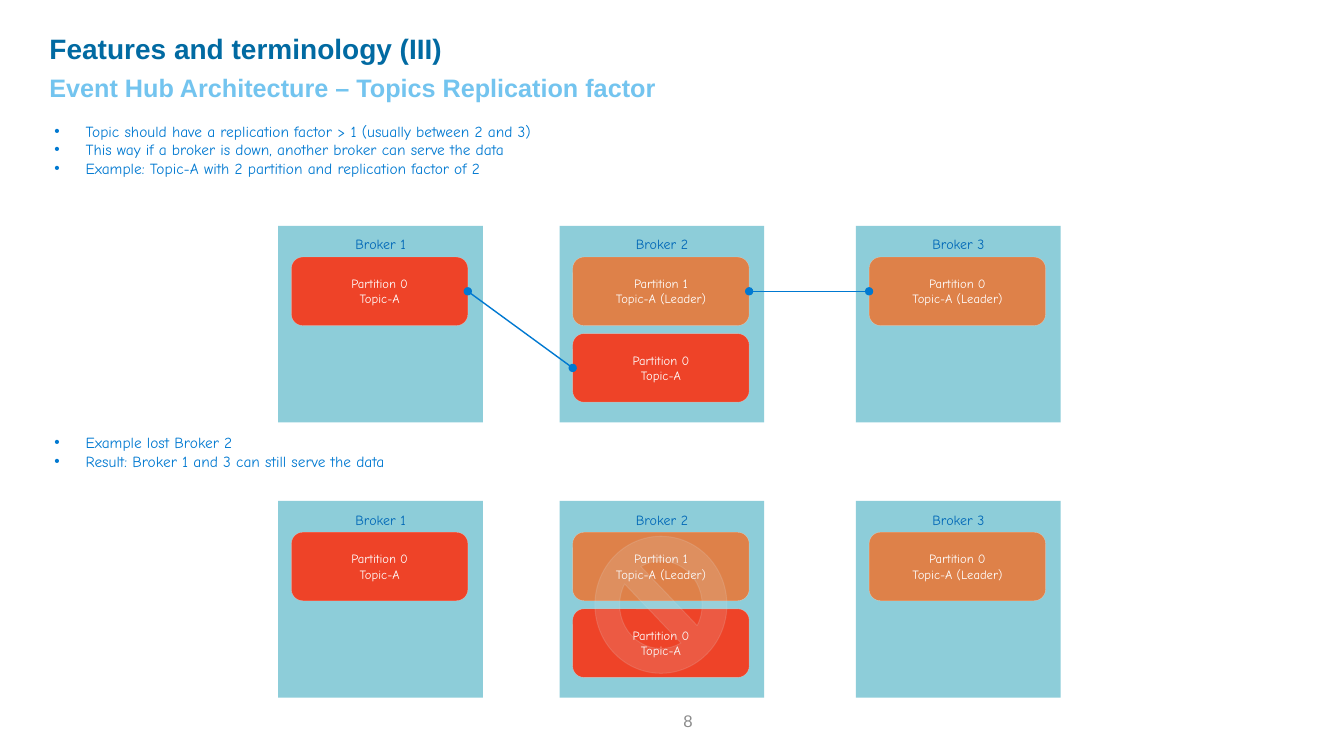
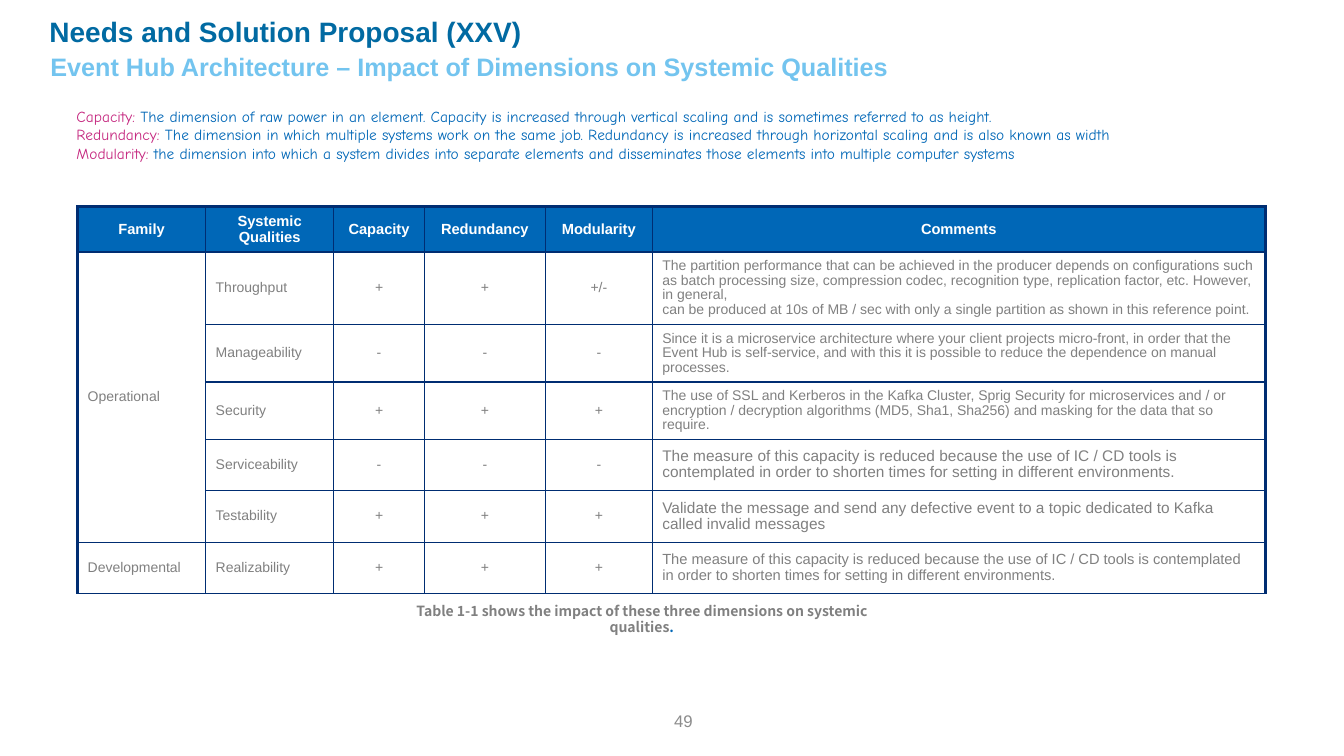
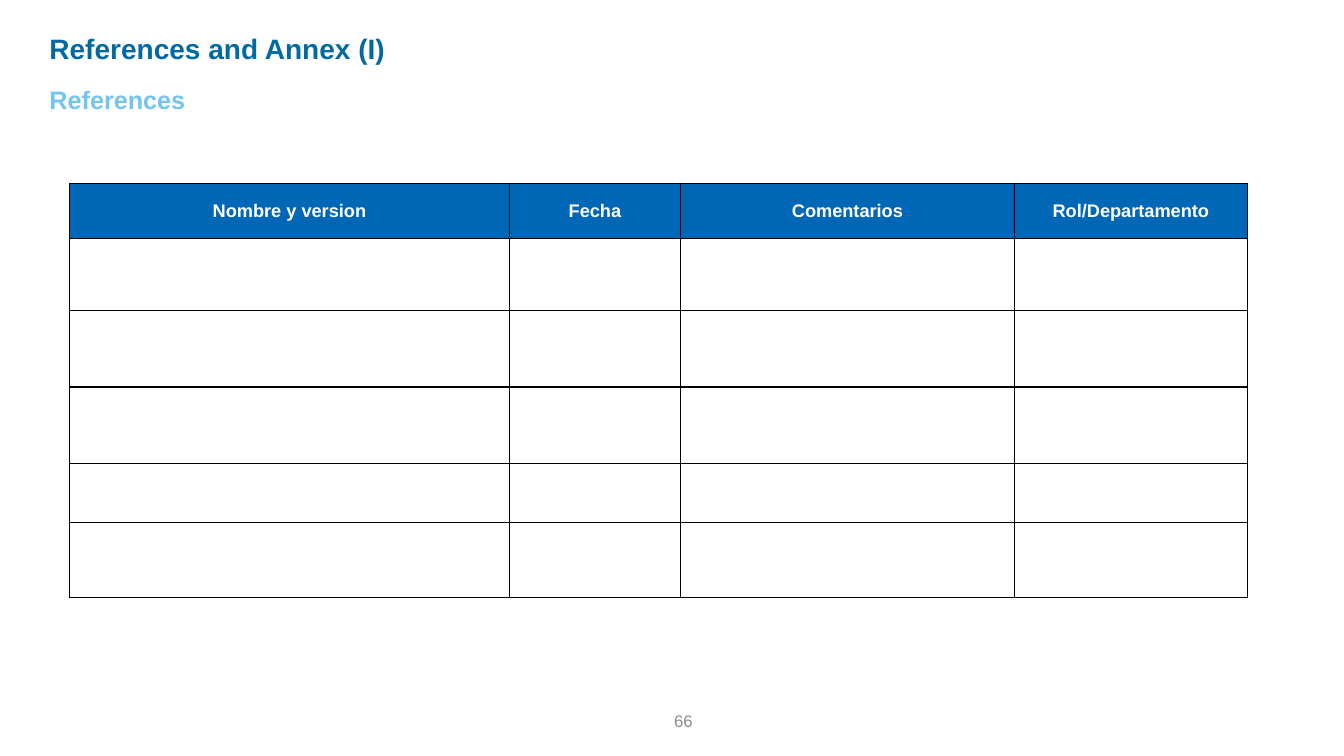
from dataclasses import dataclass

import lxml.etree
import pptx
import pptx.dml.color
import pptx.enum.shapes
import pptx.enum.text
import pptx.oxml.ns
import pptx.util

Inches = pptx.util.Inches
Pt = pptx.util.Pt
RGBColor = pptx.dml.color.RGBColor
Align = pptx.enum.text.PP_ALIGN
Anchor = pptx.enum.text.MSO_ANCHOR
Preset = pptx.enum.shapes.MSO_SHAPE
qn = pptx.oxml.ns.qn

TITLE_BLUE = RGBColor(0x01, 0x6A, 0xA2)
SUBTITLE_BLUE = RGBColor(0x73, 0xC4, 0xEF)
TEXT_BLUE = RGBColor(0x00, 0x79, 0xD1)
DEEP_BLUE = RGBColor(0x00, 0x67, 0xB7)
NAVY = RGBColor(0x00, 0x2D, 0x72)
AQUA = RGBColor(0x87, 0xCB, 0xD8)
RED = RGBColor(0xEE, 0x43, 0x28)
ORANGE = RGBColor(0xF3, 0x6F, 0x26)
MAGENTA = RGBColor(0xC5, 0x27, 0x7F)
PALE_GREY = RGBColor(0xE2, 0xE2, 0xE2)
PAGE_GREY = RGBColor(0x8C, 0x8C, 0x8C)
GREY = RGBColor(0x80, 0x80, 0x80)
WHITE = RGBColor(0xFF, 0xFF, 0xFF)
BLACK = RGBColor(0x00, 0x00, 0x00)


@dataclass(frozen=True)
class Style:
    size: float
    colour: RGBColor
    face: str = "Arial"
    bold: bool = False


@dataclass(frozen=True)
class Box:
    """A place on the slide, in inches."""
    left: float
    top: float
    width: float
    height: float

    def emu(self) -> tuple:
        return tuple(Inches(v) for v in (self.left, self.top, self.width, self.height))


@dataclass(frozen=True)
class Partition:
    lines: str
    colour: RGBColor
    opacity: int


@dataclass(frozen=True)
class Broker:
    name: str
    left: float
    partitions: tuple


@dataclass(frozen=True)
class Grid:
    """Geometry and borders shared by all cells of a table."""
    left: float
    top: float
    columns: tuple
    rows: tuple
    line: RGBColor
    outer_width: float
    inset: tuple


HAND = "Comic Neue"
TITLE = Style(20, TITLE_BLUE, bold=True)
SUBTITLE = Style(18, SUBTITLE_BLUE, bold=True)
PAGE_NUMBER = Style(12, PAGE_GREY)
BULLET = Style(11, TEXT_BLUE, HAND)
TERM = Style(11, MAGENTA, HAND)
DEFINITION = Style(11, DEEP_BLUE, HAND)
BROKER_NAME = Style(10, DEEP_BLUE, HAND)
PARTITION_TEXT = Style(9, WHITE, HAND)
CAPTION = Style(10, GREY, "Noto Sans CJK KR", True)
CAPTION_END = Style(10, DEEP_BLUE, "Noto Sans CJK KR", True)

FOLLOWER = Partition("Partition 0\nTopic-A", RED, 100)
LEADER_0 = Partition("Partition 0\nTopic-A (Leader)", ORANGE, 80)
LEADER_1 = Partition("Partition 1\nTopic-A (Leader)", ORANGE, 80)
BROKERS = (
    Broker("Broker 1", 2.76, (FOLLOWER,)),
    Broker("Broker 2", 5.55, (LEADER_1, FOLLOWER)),
    Broker("Broker 3", 8.49, (LEADER_0,)),
)

DEFINITIONS = (
    ("Capacity: ", "The dimension of raw power in an element. Capacity is increased through "
     "vertical scaling and is sometimes referred to as height."),
    ("Redundancy: ", "The dimension in which multiple systems work on the same job. Redundancy "
     "is increased through horizontal scaling and is also known as width"),
    ("Modularity: ", "the dimension into which a system divides into separate elements and "
     "disseminates those elements into multiple computer systems"),
)

SHORTER_TIMES = ("The measure of this capacity is reduced because the use of IC / CD tools is "
                 "contemplated in order to shorten times for setting in different environments.")
IMPACT_HEADS = ("Family", "Systemic Qualities", "Capacity", "Redundancy", "Modularity", "Comments")
IMPACT_ROWS = (
    ("Operational", "Throughput", "+", "+", "+/-",
     "The partition performance that can be achieved in the producer depends on configurations "
     "such as batch processing size, compression codec, recognition type, replication factor, "
     "etc. However, in general,\ncan be produced at 10s of MB / sec with only a single partition "
     "as shown in this reference point."),
    ("", "Manageability", "-", "-", "-",
     "Since it is a microservice architecture where your client projects micro-front, in order "
     "that the Event Hub is self-service, and with this it is possible to reduce the dependence "
     "on manual processes."),
    ("", "Security", "+", "+", "+",
     "The use of SSL and Kerberos in the Kafka Cluster, Sprig Security for microservices and / "
     "or encryption / decryption algorithms (MD5, Sha1, Sha256) and masking for the data that so "
     "require."),
    ("", "Serviceability", "-", "-", "-", SHORTER_TIMES),
    ("", "Testability", "+", "+", "+",
     "Validate the message and send any defective event to a topic dedicated to Kafka called "
     "invalid messages"),
    ("Developmental", "Realizability", "+", "+", "+", SHORTER_TIMES),
)
COMMENT_SIZES = (10, 10, 10, 11, 11, 10.5)
REFERENCE_HEADS = ("Nombre y version", "Fecha", "Comentarios", "Rol/Departamento")


def format_run(run, style: Style) -> None:
    run.font.name = style.face
    run.font.size = Pt(style.size)
    run.font.bold = style.bold
    run.font.color.rgb = style.colour


def format_paragraph(paragraph, style: Style, align=Align.LEFT) -> None:
    paragraph.alignment = align
    for run in paragraph.runs:
        format_run(run, style)


def set_frame(frame, inset: tuple, anchor=Anchor.TOP) -> None:
    """Wrap the text; inset is the horizontal and the vertical margin in inches."""
    frame.word_wrap = True
    frame.auto_size = pptx.enum.text.MSO_AUTO_SIZE.NONE
    frame.vertical_anchor = anchor
    frame.margin_left = frame.margin_right = Inches(inset[0])
    frame.margin_top = frame.margin_bottom = Inches(inset[1])


def write(frame, text: str, style: Style, align=Align.LEFT) -> None:
    frame.text = text
    for paragraph in frame.paragraphs:
        format_paragraph(paragraph, style, align)


def add_text(slide, box: Box, text: str, style: Style, align=Align.LEFT,
             inset: tuple = (0.1, 0.1), anchor=Anchor.TOP):
    frame = slide.shapes.add_textbox(*box.emu()).text_frame
    set_frame(frame, inset, anchor)
    write(frame, text, style, align)
    return frame


def add_run(paragraph, text: str, style: Style) -> None:
    run = paragraph.add_run()
    run.text = text
    format_run(run, style)


def add_bullets(slide, box: Box, text: str) -> None:
    frame = add_text(slide, box, text, BULLET, Align.JUSTIFY)
    for paragraph in frame.paragraphs:
        properties = paragraph._p.get_or_add_pPr()
        properties.set("marL", str(Inches(0.31)))
        properties.set("indent", str(Inches(-0.31)))
        lxml.etree.SubElement(properties, qn("a:buFont")).set("typeface", "Arial")
        lxml.etree.SubElement(properties, qn("a:buChar")).set("char", "•")


def set_opacity(solid_fill, percent: int) -> None:
    if percent < 100:
        alpha = lxml.etree.SubElement(solid_fill.find(qn("a:srgbClr")), qn("a:alpha"))
        alpha.set("val", str(percent * 1000))


def add_preset(slide, preset, box: Box, fill: RGBColor, opacity: int):
    shape = slide.shapes.add_shape(preset, *box.emu())
    shape.shadow.inherit = False
    shape.fill.solid()
    shape.fill.fore_color.rgb = fill
    set_opacity(shape.element.spPr.find(qn("a:solidFill")), opacity)
    shape.line.fill.background()
    return shape


def outline(shape, colour: RGBColor, width: float, opacity: int) -> None:
    shape.line.color.rgb = colour
    shape.line.width = Pt(width)
    line = shape.element.spPr.find(qn("a:ln"))
    set_opacity(line.find(qn("a:solidFill")), opacity)


def add_broker(slide, broker: Broker, top: float) -> list:
    """Draw a broker with its partitions and return the partition shapes."""
    body = add_preset(slide, Preset.RECTANGLE, Box(broker.left, top, 2.03, 1.95), AQUA, 95)
    set_frame(body.text_frame, (0.1, 0.1))
    write(body.text_frame, broker.name, BROKER_NAME, Align.CENTER)
    shapes = []
    for index, partition in enumerate(broker.partitions):
        box = Box(broker.left + 0.13, top + 0.31 + 0.76 * index, 1.75, 0.68)
        shape = add_preset(slide, Preset.ROUNDED_RECTANGLE, box,
                           partition.colour, partition.opacity)
        outline(shape, WHITE, 0.25, 39)
        set_frame(shape.text_frame, (0.1, 0.05), Anchor.MIDDLE)
        write(shape.text_frame, partition.lines, PARTITION_TEXT, Align.CENTER)
        shapes.append(shape)
    return shapes


def add_replica_link(slide, source, target) -> None:
    link = slide.shapes.add_connector(pptx.enum.shapes.MSO_CONNECTOR.STRAIGHT, 0, 0, 0, 0)
    link.begin_connect(source, 3)
    link.end_connect(target, 1)
    link.line.color.rgb = TEXT_BLUE
    link.line.width = Pt(1)
    properties = link.element.spPr
    for end in ("a:headEnd", "a:tailEnd"):
        lxml.etree.SubElement(properties.find(qn("a:ln")), qn(end)).set("type", "oval")
    lxml.etree.SubElement(properties, qn("a:effectLst"))


def add_border(cell, side: str, colour: RGBColor, width: float) -> None:
    line = lxml.etree.SubElement(cell._tc.get_or_add_tcPr(), qn(f"a:ln{side}"))
    line.set("w", str(Pt(width)))
    fill = lxml.etree.SubElement(line, qn("a:solidFill"))
    lxml.etree.SubElement(fill, qn("a:srgbClr")).set("val", str(colour))


def add_grid(slide, grid: Grid, heads: tuple, head_size: float):
    """Add a bordered table with a filled header row and empty body cells."""
    box = Box(grid.left, grid.top, sum(grid.columns), sum(grid.rows))
    table = slide.shapes.add_table(len(grid.rows), len(grid.columns), *box.emu()).table
    table.first_row = table.horz_banding = False
    for column, width in zip(table.columns, grid.columns):
        column.width = Inches(width)
    last = len(grid.columns) - 1
    for r, height in enumerate(grid.rows):
        table.rows[r].height = Inches(height)
        for c in range(last + 1):
            cell = table.cell(r, c)
            for side, outer in (("L", c == 0), ("R", c == last), ("T", r == 0), ("B", False)):
                add_border(cell, side, grid.line, grid.outer_width if outer else 1)
            cell.fill.solid()
            cell.fill.fore_color.rgb = WHITE if r else DEEP_BLUE
            cell.vertical_anchor = Anchor.MIDDLE
            cell.margin_left = cell.margin_right = Inches(grid.inset[0])
            cell.margin_top = cell.margin_bottom = Inches(grid.inset[1])
    for c, head in enumerate(heads):
        write(table.cell(0, c).text_frame, head, Style(head_size, WHITE, bold=True), Align.CENTER)
    return table


def start_slide(deck, title: str, subtitle: str, page: int, title_top: float, subtitle_box: Box):
    slide = deck.slides.add_slide(deck.slide_layouts[5])
    heading = slide.shapes.title
    heading.left, heading.top, heading.width, heading.height = Box(0.44, title_top, 8.3, 0.44).emu()
    set_frame(heading.text_frame, (0.05, 0.05))
    write(heading.text_frame, title, TITLE)
    add_text(slide, subtitle_box, subtitle, SUBTITLE, inset=(0.05, 0.05))
    add_text(slide, Box(3.34, 6.95, 3.63, 0.4), str(page), PAGE_NUMBER, Align.RIGHT,
             (0.1, 0.05), Anchor.MIDDLE)
    return slide


def build_replication(deck) -> None:
    slide = start_slide(deck, "Features and terminology (III)",
                        "Event Hub Architecture – Topics Replication factor", 8,
                        0.26, Box(0.44, 0.67, 9.6, 0.4))
    add_bullets(slide, Box(0.44, 1.11, 12.33, 0.75),
                "Topic should have a replication factor > 1 (usually between 2 and 3)\n"
                "This way if a broker is down, another broker can serve the data\n"
                "Example: Topic-A with 2 partition and replication factor of 2")
    first, second, third = [add_broker(slide, broker, 2.24) for broker in BROKERS]
    add_replica_link(slide, first[0], second[1])
    add_replica_link(slide, second[0], third[0])
    add_bullets(slide, Box(0.44, 4.2, 12.33, 0.57),
                "Example lost Broker 2\nResult: Broker 1 and 3 can still serve the data")
    for broker in BROKERS:
        add_broker(slide, broker, 4.97)
    lost_sign = add_preset(slide, Preset.NO_SYMBOL, Box(5.9, 5.32, 1.31, 1.36), PALE_GREY, 15)
    outline(lost_sign, PALE_GREY, 0.75, 15)


def build_impact(deck) -> None:
    slide = start_slide(deck, "Needs and Solution Proposal (XXV)",
                        "Event Hub Architecture – Impact of Dimensions on Systemic Qualities", 49,
                        0.09, Box(0.45, 0.46, 8.86, 0.4))
    grid = Grid(0.77, 2.05, (1.27, 1.27, 0.9, 1.2, 1.06, 6.08),
                (0.45, 0.72, 0.57, 0.57, 0.51, 0.51, 0.51), NAVY, 2.25, (0.1, 0.05))
    table = add_grid(slide, grid, IMPACT_HEADS, 10.5)
    table.cell(1, 0).merge(table.cell(5, 0))
    for r, (row, comment_size) in enumerate(zip(IMPACT_ROWS, COMMENT_SIZES), start=1):
        for c, text in enumerate(row):
            paragraph = table.cell(r, c).text_frame.paragraphs[0]
            paragraph.text = text
            paragraph.line_spacing = 0.93
            size = comment_size if c == 5 else 10
            format_paragraph(paragraph, Style(size, GREY),
                             Align.CENTER if c in (2, 3, 4) else Align.LEFT)
    definitions = add_text(slide, Box(0.66, 0.96, 11.41, 0.99),
                           "\n".join(term for term, _ in DEFINITIONS), TERM)
    for paragraph, (_, meaning) in zip(definitions.paragraphs, DEFINITIONS):
        add_run(paragraph, meaning, DEFINITION)
    caption = add_text(slide, Box(3.91, 5.99, 4.91, 0.3),
                       "Table 1-1 shows the impact of these three dimensions on systemic qualities",
                       CAPTION, Align.CENTER, anchor=Anchor.MIDDLE)
    add_run(caption.paragraphs[0], ".", CAPTION_END)


def build_references(deck) -> None:
    slide = start_slide(deck, "References and Annex (I)", "References", 66,
                        0.26, Box(0.44, 0.79, 7.82, 0.4))
    grid = Grid(0.69, 1.82, (4.36, 1.7, 3.31, 2.31),
                (0.55, 0.71, 0.76, 0.76, 0.58, 0.75), BLACK, 1, (0.08, 0.08))
    add_grid(slide, grid, REFERENCE_HEADS, 13)


def main() -> None:
    deck = pptx.Presentation()
    deck.slide_width, deck.slide_height = Inches(13.33), Inches(7.5)
    build_replication(deck)
    build_impact(deck)
    build_references(deck)
    deck.save("out.pptx")


if __name__ == "__main__":
    main()
